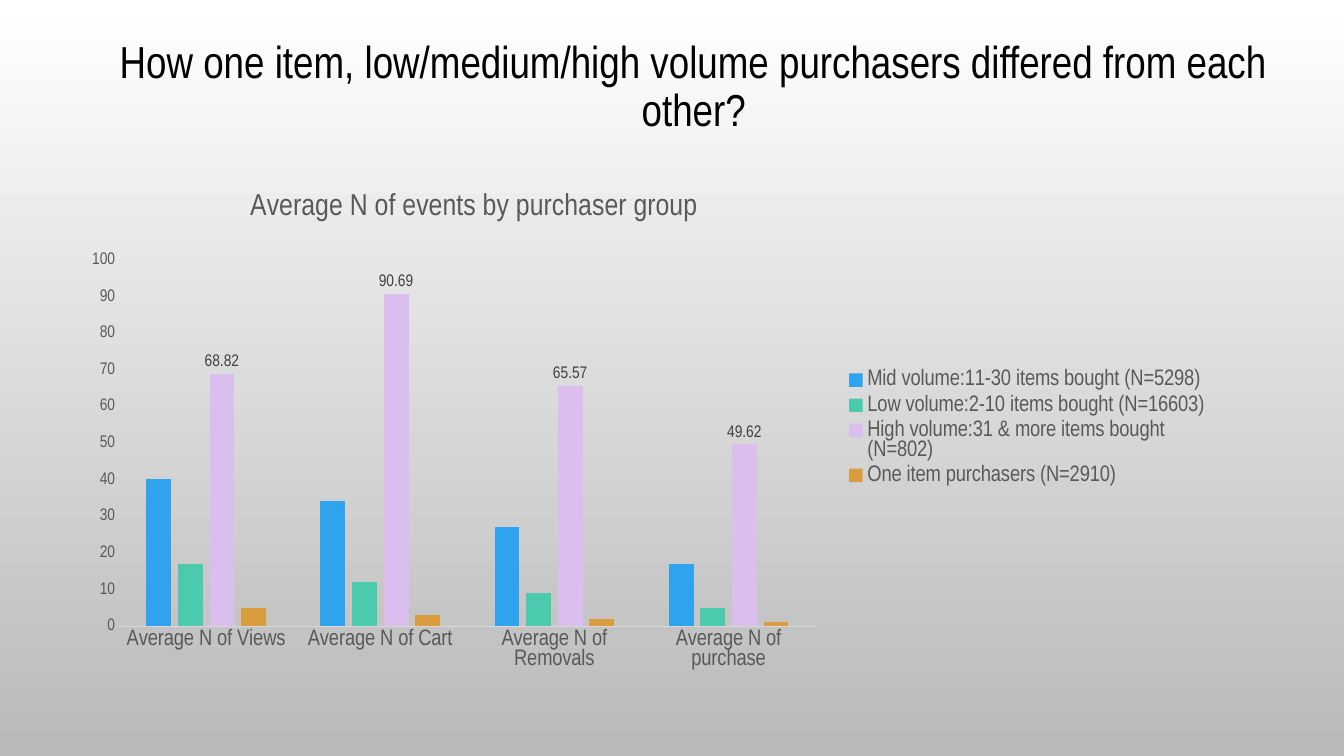
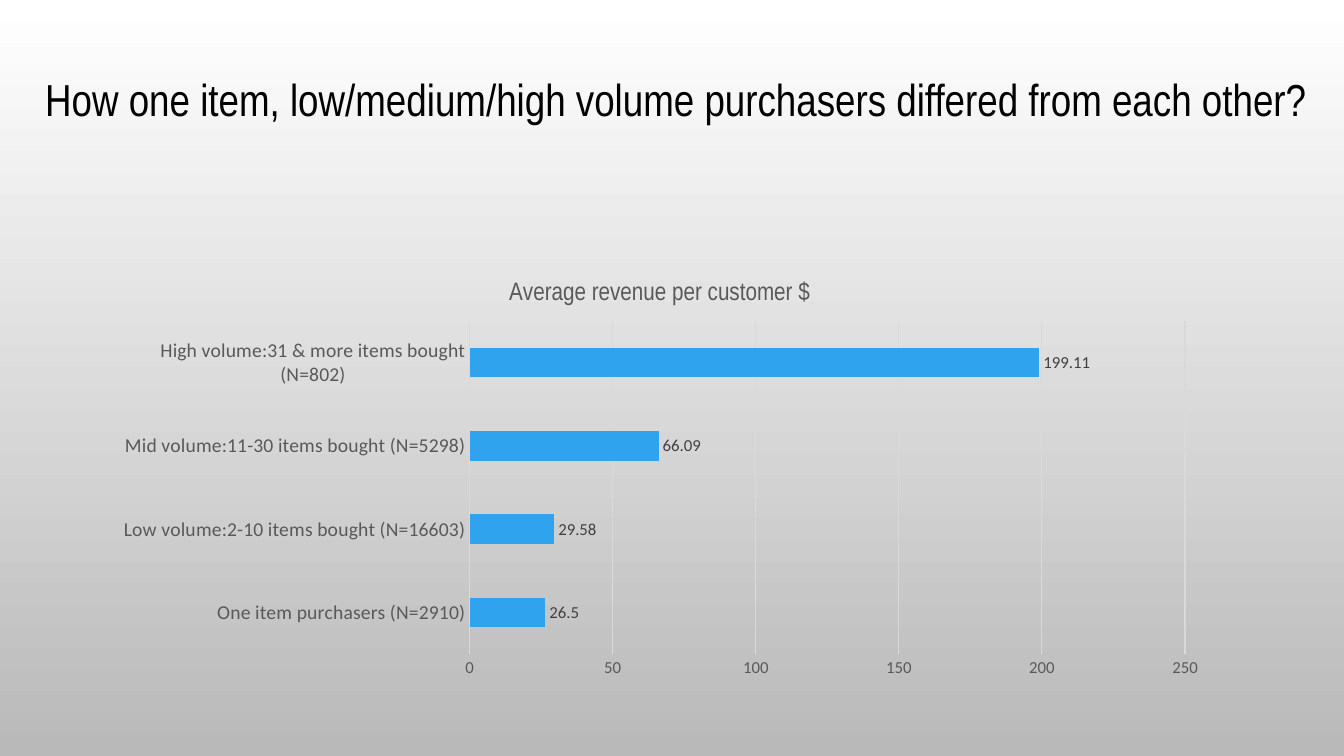
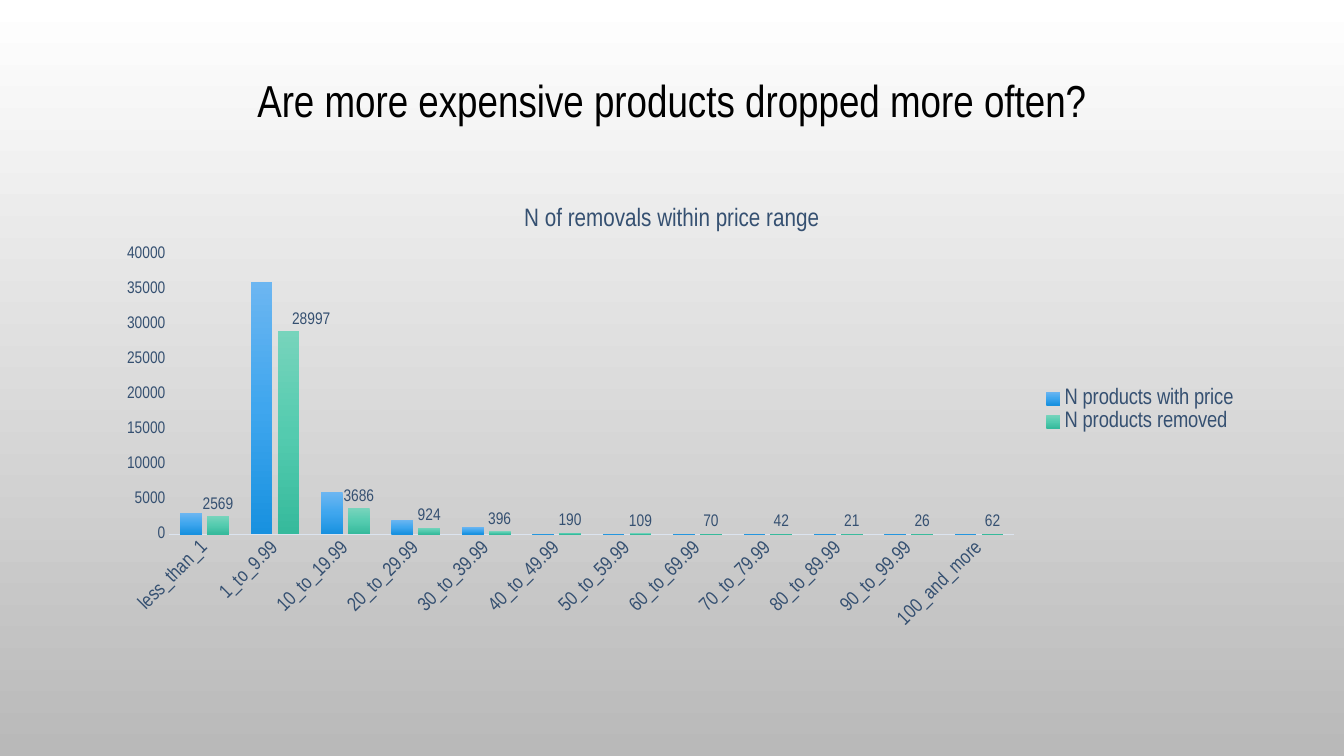
from copy import deepcopy
from dataclasses import dataclass

from lxml import etree
from pptx import Presentation
from pptx.chart.data import CategoryChartData
from pptx.dml.color import RGBColor
from pptx.enum.chart import XL_CHART_TYPE as ChartType
from pptx.enum.chart import XL_LABEL_POSITION as LabelPos
from pptx.enum.chart import XL_LEGEND_POSITION as LegendPos
from pptx.enum.chart import XL_TICK_MARK as TickMark
from pptx.enum.text import MSO_ANCHOR as Anchor
from pptx.enum.text import PP_ALIGN as Align
from pptx.oxml.ns import qn
from pptx.util import Cm, Pt


@dataclass(frozen=True)
class Theme:
    narrow: str = "Arial Narrow"
    plain: str = "Calibri"
    background: tuple = ("FFFFFF", "B9B9B9")
    title: str = "000000"
    gray: str = "595959"
    label: str = "404040"
    rule: str = "D9D9D9"
    navy: str = "355071"
    pale_rule: str = "DCE4EF"
    blue: str = "2FA3EE"
    green: str = "4BCAAD"
    lilac: str = "DABEED"
    amber: str = "D99C3F"
    blue_fade: tuple = ("6CB6F1", "3FA6EE", "1891DF")
    green_fade: tuple = ("77D4BC", "54CBAF", "36BA9C")
    title_size: float = 32
    chart_title_size: float = 18
    big_chart_title_size: float = 21.6
    legend_size: float = 16
    category_size: float = 14
    small_size: float = 12


T = Theme()


def set_font(font, name, size, color):
    font.name, font.size, font.bold = name, Pt(size), False
    font.color.rgb = RGBColor.from_string(color)


def set_fill(fill, color):
    """Solid fill for one colour, downward gradient for several."""
    if isinstance(color, str):
        fill.solid()
        fill.fore_color.rgb = RGBColor.from_string(color)
        return
    fill.gradient()
    fill.gradient_angle = 270
    first = fill.gradient_stops[0]._gs
    for _ in color[2:]:
        first.addnext(deepcopy(first))
    for i, (stop, c) in enumerate(zip(fill.gradient_stops, color)):
        stop.color.rgb = RGBColor.from_string(c)
        stop.position = i / (len(color) - 1)


def set_layout(parent, after, x, y, w=None, h=None, target=None, edge=True):
    """Place a chart part by fractions of the chart's size."""
    for old in parent.findall(qn("c:layout")):
        parent.remove(old)
    layout = etree.Element(qn("c:layout"))
    manual = etree.SubElement(layout, qn("c:manualLayout"))
    mode = "edge" if edge else None
    for tag, val in (("layoutTarget", target), ("xMode", mode), ("yMode", mode),
                     ("x", x), ("y", y), ("w", w), ("h", h)):
        if val is not None:
            etree.SubElement(manual, qn("c:" + tag)).set("val", str(val))
    before = parent.find(qn("c:" + after)) if after else None
    parent.insert(0 if before is None else parent.index(before) + 1, layout)


class Deck:
    def __init__(self):
        self.prs = Presentation()
        self.prs.slide_width, self.prs.slide_height = Cm(33.87), Cm(19.05)
        self.slide = None

    def new_slide(self, title, box):
        self.slide = self.prs.slides.add_slide(self.prs.slide_layouts[6])
        set_fill(self.slide.background.fill, T.background)
        tf = self.slide.shapes.add_textbox(*map(Cm, box)).text_frame
        tf.word_wrap, tf.vertical_anchor = True, Anchor.MIDDLE
        p = tf.paragraphs[0]
        p.text, p.alignment, p.line_spacing = title, Align.CENTER, 0.9
        set_font(p.font, T.narrow, T.title_size, T.title)

    def chart(self, kind, box, title, cats, series, plot_area, gap, overlap=0,
              font=T.narrow, color=T.gray, rule=T.rule, title_size=T.chart_title_size,
              cat_size=T.category_size):
        """Add a bar chart; series holds (name, values, colour)."""
        data = CategoryChartData()
        data.categories = cats
        for name, vals, _ in series:
            data.add_series(name, vals)
        chart = self.slide.shapes.add_chart(kind, *map(Cm, box), data).chart
        set_font(chart.font, font, T.small_size, color)

        # Title
        chart.has_title = True
        tf = chart.chart_title.text_frame
        tf.text = title
        set_font(tf.paragraphs[0].font, T.narrow, title_size, color)
        chart.has_legend = False

        # Bars
        plot = chart.plots[0]
        plot.gap_width, plot.overlap, plot.vary_by_categories = gap, overlap, False
        for s, (_, _, fill) in zip(plot.series, series):
            set_fill(s.format.fill, fill)
            s.invert_if_negative = False

        # Axes
        cat, val = chart.category_axis, chart.value_axis
        for axis, size in ((cat, cat_size), (val, T.small_size)):
            axis.major_tick_mark = axis.minor_tick_mark = TickMark.NONE
            axis.has_major_gridlines = False
            set_font(axis.tick_labels.font, font, size, color)
        self.line(cat.format.line, rule)
        val.format.line.fill.background()
        val.minimum_scale = 0
        set_layout(chart._chartSpace.chart.plotArea, None, *plot_area, target="inner")
        return chart

    def line(self, line, color):
        line.width = Pt(0.75)
        line.color.rgb = RGBColor.from_string(color)

    def scale(self, chart, top, step):
        chart.value_axis.maximum_scale, chart.value_axis.major_unit = top, step

    def legend(self, chart, area, color=T.gray):
        chart.has_legend = True
        legend = chart.legend
        legend.position, legend.include_in_layout = LegendPos.RIGHT, False
        set_font(legend.font, T.narrow, T.legend_size, color)
        set_layout(legend._element, "legendPos", *area)

    def labels(self, series, font=T.narrow, color=T.label):
        dl = series.data_labels
        dl.show_value, dl.position = True, LabelPos.OUTSIDE_END
        set_font(dl.font, font, T.small_size, color)

    def shift_label(self, series, index, dx, dy, color):
        label = series.points[index].data_label
        set_font(label.font, T.narrow, T.small_size, color)
        label.position = LabelPos.OUTSIDE_END
        dl = series.data_labels._element.find(qn("c:dLbl"))
        set_layout(dl, "idx", dx, dy, edge=False)


def main():
    deck = Deck()
    question = "How one item, low/medium/high volume purchasers differed from each other?"
    one = "One item purchasers (N=2910)"
    low = "Low volume:2-10 items bought (N=16603)"
    mid = "Mid volume:11-30 items bought (N=5298)"
    high = "High volume:31 & more items bought (N=802)"

    # Events by purchaser group
    deck.new_slide(question, (2.46, 0, 30.05, 4.45))
    chart = deck.chart(
        ChartType.COLUMN_CLUSTERED, (1.85, 4.52, 28.78, 12.65),
        "Average N of events by purchaser group",
        ["Average N of " + event for event in ("Views", "Cart", "Removals", "purchase")],
        [(mid, (40, 34, 27, 17), T.blue),
         (low, (17, 12, 9, 5), T.green),
         (high, (68.82, 90.69, 65.57, 49.62), T.lilac),
         (one, (5, 3, 2, 1), T.amber)],
        (0.04, 0.16, 0.61, 0.73), 219, -27,
        title_size=T.big_chart_title_size, cat_size=T.legend_size)
    set_layout(chart.chart_title._element, "tx", 0.15, 0.01)
    deck.scale(chart, 100, 10)
    deck.labels(chart.plots[0].series[2])
    deck.legend(chart, (0.67, 0.37, 0.33, 0.25))

    # Revenue per customer
    deck.new_slide(question, (0.69, 0.58, 32.72, 3.96))
    revenue = "Average revenue per customer $"
    chart = deck.chart(
        ChartType.BAR_CLUSTERED, (2.54, 6.58, 28.17, 10.77), revenue,
        [one, low, mid, high],
        [(revenue, (26.5, 29.58, 66.09, 199.11), T.blue)],
        (0.33, 0.14, 0.64, 0.78), 182, font=T.plain)
    deck.scale(chart, 250, 50)
    deck.line(chart.value_axis.major_gridlines.format.line, T.rule)
    deck.labels(chart.plots[0].series[0], T.plain)

    # Removals by price range
    deck.new_slide("Are more expensive products dropped more often?",
                   (2.34, 0.76, 29.21, 3.68))
    ranges = [f"{n}_to_{n + 9}.99" for n in range(10, 100, 10)]
    chart = deck.chart(
        ChartType.COLUMN_CLUSTERED, (2.54, 4.7, 28.78, 11.38),
        "N of removals within price range",
        ["less_than_1", "1_to_9.99", *ranges, "100_and_more"],
        [("N products with price",
          (3000, 36000, 6000, 2000, 1000, 0, 0, 0, 0, 0, 0, 0), T.blue_fade),
         ("N products removed",
          (2569, 28997, 3686, 924, 396, 190, 109, 70, 42, 21, 26, 62), T.green_fade)],
        (0.06, 0.15, 0.74, 0.62), 100, -24, color=T.navy, rule=T.pale_rule)
    deck.scale(chart, 40000, 5000)
    body = chart.category_axis._element.find(qn("c:txPr")).find(qn("a:bodyPr"))
    body.set("rot", "-2700000")
    removed = chart.plots[0].series[1]
    deck.labels(removed, color=T.navy)
    deck.shift_label(removed, 1, 0.02, 0, T.navy)
    deck.legend(chart, (0.82, 0.44, 0.18, 0.11), T.navy)

    deck.prs.save("out.pptx")


if __name__ == "__main__":
    main()
